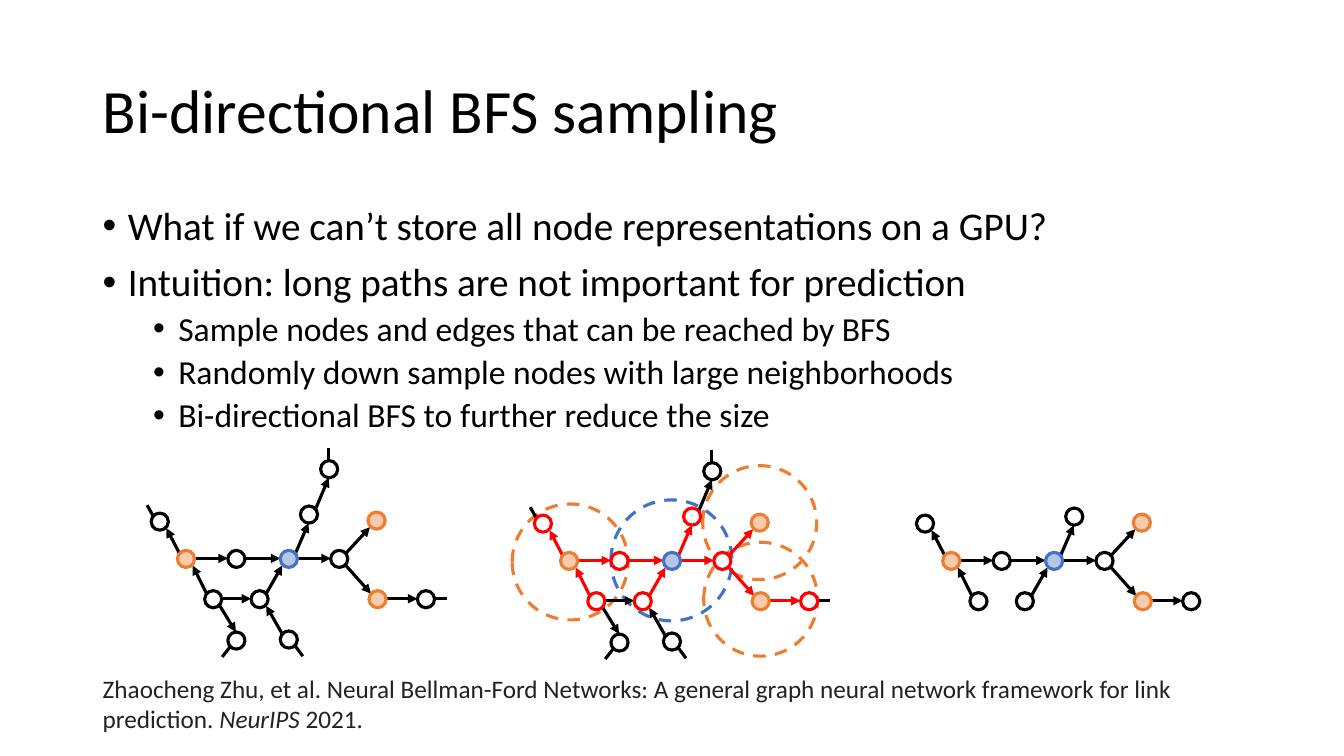
from pptx import Presentation
from pptx.dml.color import RGBColor
from pptx.enum.dml import MSO_LINE
from pptx.enum.shapes import MSO_CONNECTOR, MSO_SHAPE
from pptx.enum.text import MSO_ANCHOR, PP_ALIGN
from pptx.oxml.ns import qn
from pptx.util import Pt
from lxml import etree

BLACK = RGBColor(0x00, 0x00, 0x00)
WHITE = RGBColor(0xFF, 0xFF, 0xFF)
RED = RGBColor(0xFF, 0x00, 0x00)
BLUE = RGBColor(0x44, 0x72, 0xC4)
SKY = RGBColor(0xB4, 0xC7, 0xE7)
ORANGE = RGBColor(0xED, 0x7D, 0x31)
PEACH = RGBColor(0xF8, 0xCB, 0xAD)
GRAY = RGBColor(0x22, 0x22, 0x22)

DASH = MSO_LINE.DASH
OVAL = MSO_SHAPE.OVAL
STRAIGHT = MSO_CONNECTOR.STRAIGHT
MIDDLE = MSO_ANCHOR.MIDDLE
LEFT = PP_ALIGN.LEFT

PX = 9144
SIZE = 17
SITES = {
    "t": (8, 0), "b": (8, 17), "l": (0, 8), "r": (17, 8),
    "tl": (2, 3), "tr": (15, 3), "bl": (2, 15), "br": (15, 15),
}

NODES = {
    "hub": (328, 546), "mid": (226, 546), "low": (203, 586),
    "end": (414, 586), "next": (249, 586), "up": (298, 502),
    "leaf": (150, 509), "goal": (278, 546), "start": (176, 546),
    "top": (365, 508), "base": (366, 586),
    "peak": (318, 457), "right": (278, 626), "left": (226, 627),
}
TINTS = {
    "goal": (SKY, BLUE), "start": (PEACH, ORANGE),
    "top": (PEACH, ORANGE), "base": (PEACH, ORANGE),
}
FAR = {"peak", "right", "left"}
NEAR_EDGES = [
    ("goal", "r", "hub", "l"), ("hub", "tr", "top", "bl"),
    ("mid", "r", "goal", "l"), ("next", "tr", "goal", "bl"),
    ("start", "r", "mid", "l"), ("low", "tl", "start", "br"),
    ("hub", "br", "base", "tl"), ("base", "r", "end", "l"),
    ("goal", "tr", "up", "b"), ("start", "tl", "leaf", "br"),
]
FAR_EDGES = [
    ("low", "r", "next", "l"), ("up", "tr", "peak", "b"),
    ("right", "tl", "next", "br"), ("low", "br", "left", "t"),
]
STUBS = [
    ("end", "r", 19, 0), ("peak", "t", 0, -18), ("right", "br", 11, 15),
    ("left", "bl", -11, 14), ("leaf", "tl", -9, -16),
]
RINGS = [
    (508, 500, 115, ORANGE), (698, 538, 113, ORANGE),
    (697, 462, 113, ORANGE), (606, 496, 120, BLUE),
]
POINTS = [
    (0, "What if we can’t store all node representations on a GPU?"),
    (0, "Intuition: long paths are not important for prediction"),
    (1, "Sample nodes and edges that can be reached by BFS"),
    (1, "Randomly down sample nodes with large neighborhoods"),
    (1, "Bi-directional BFS to further reduce the size"),
]
CITE = [
    ("Zhaocheng Zhu, et al. Neural Bellman-Ford Networks: A general graph "
     "neural network framework for link prediction. ", False),
    ("NeurIPS", True),
    (" 2021.", False),
]


class Canvas:
    font = "Calibri"
    weight = Pt(2.25)

    def __init__(self, slide):
        self.slide = slide
        self.shapes = slide.shapes

    def run(self, para, text, size, color, italic=False):
        run = para.add_run()
        run.text = text
        run.font.name = self.font
        run.font.size = Pt(size)
        run.font.color.rgb = color
        run.font.italic = italic

    def title(self, x, y, w, h, text):
        shape = self.shapes.title
        shape.left, shape.top = x * PX, y * PX
        shape.width, shape.height = w * PX, h * PX
        shape.text_frame.vertical_anchor = MIDDLE
        para = shape.text_frame.paragraphs[0]
        para.alignment = LEFT
        para.line_spacing = 0.9
        self.run(para, text, 44, BLACK)

    def box(self, x, y, w, h):
        frame = self.shapes.add_textbox(x * PX, y * PX, w * PX, h * PX).text_frame
        frame.word_wrap = True
        return frame

    def bullets(self, x, y, w, h, items):
        frame = self.box(x, y, w, h)
        for i, (level, text) in enumerate(items):
            para = frame.add_paragraph() if i else frame.paragraphs[0]
            props = para._p.get_or_add_pPr()
            props.set("marL", str((25 + 50 * level) * PX))
            props.set("indent", str(-25 * PX))
            face = etree.SubElement(props, qn("a:buFont"))
            face.set("typeface", "Arial")
            mark = etree.SubElement(props, qn("a:buChar"))
            mark.set("char", "•")
            para.level = level
            para.line_spacing = 0.9
            para.space_before = Pt((5 if level else 10) if i else 0)
            self.run(para, text, 24 if level else 28, BLACK)

    def note(self, x, y, w, h, parts):
        para = self.box(x, y, w, h).paragraphs[0]
        for text, italic in parts:
            self.run(para, text, 18, GRAY, italic)

    def circle(self, x, y, size, color, fill=None):
        shape = self.shapes.add_shape(OVAL, x * PX, y * PX, size * PX, size * PX)
        shape.shadow.inherit = False
        shape.line.color.rgb = color
        shape.line.width = self.weight
        if fill is None:
            shape.fill.background()
            shape.line.dash_style = DASH
        else:
            shape.fill.solid()
            shape.fill.fore_color.rgb = fill

    def line(self, x, y, end_x, end_y, color, arrow=True):
        link = self.shapes.add_connector(
            STRAIGHT, x * PX, y * PX, end_x * PX, end_y * PX)
        link.line.color.rgb = color
        link.line.width = self.weight
        if arrow:
            tail = etree.SubElement(link.line._get_or_add_ln(), qn("a:tailEnd"))
            tail.set("type", "triangle")
        else:
            link.line.dash_style = DASH
        etree.SubElement(link._element.spPr, qn("a:effectLst"))

    def graph(self, dx, dy, near=BLACK, whole=True):
        def site(node, side):
            return (NODES[node][0] + SITES[side][0] + dx,
                    NODES[node][1] + SITES[side][1] + dy)

        edges = [(edge, near) for edge in NEAR_EDGES]
        if whole:
            edges += [(edge, BLACK) for edge in FAR_EDGES]
            for node, side, run, rise in STUBS:
                x, y = site(node, side)
                self.line(x, y, x + run, y + rise, BLACK, arrow=False)
        for (tail, out, head, into), color in edges:
            self.line(*site(tail, out), *site(head, into), color)
        for name, (x, y) in NODES.items():
            if whole or name not in FAR:
                plain = (WHITE, BLACK if name in FAR else near)
                fill, color = TINTS.get(name, plain)
                self.circle(x + dx, y + dy, SIZE, color, fill)


def main():
    deck = Presentation()
    deck.slide_width, deck.slide_height = 1333 * PX, 750 * PX
    page = Canvas(deck.slides.add_slide(deck.slide_layouts[5]))
    page.title(92, 40, 1150, 145, "Bi-directional BFS sampling")
    page.bullets(92, 200, 1150, 476, POINTS)
    page.graph(0, 0)
    page.graph(759, 2, whole=False)
    for x, y, size, color in RINGS:
        page.circle(x, y, size, color)
    page.graph(380, 2, near=RED)
    page.note(92, 663, 1188, 71, CITE)
    deck.save("out.pptx")


if __name__ == "__main__":
    main()
